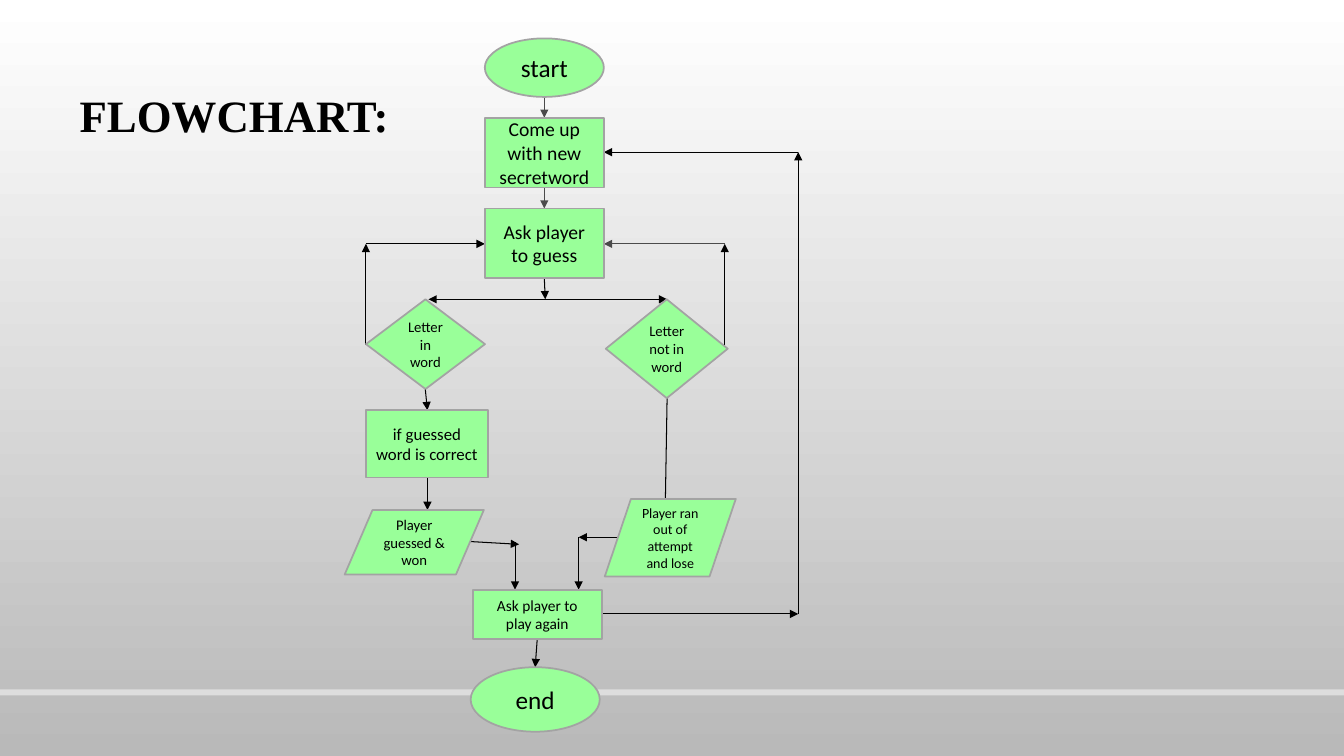
"""Build the word-guessing game flowchart slide."""
import pptx
import pptx.util
import pptx.dml.color
import pptx.enum.shapes
import pptx.enum.text
import pptx.oxml
import pptx.oxml.ns

Pt = pptx.util.Pt
RGBColor = pptx.dml.color.RGBColor
SHAPE = pptx.enum.shapes.MSO_SHAPE
MIDDLE = pptx.enum.text.MSO_ANCHOR.MIDDLE
CENTER = pptx.enum.text.PP_ALIGN.CENTER

WHITE = RGBColor(0xFF, 0xFF, 0xFF)
SILVER = RGBColor(0xB9, 0xB9, 0xB9)
FLOOR = RGBColor(0xDD, 0xDD, 0xDD)
GREEN = RGBColor(0x99, 0xFF, 0x99)
BORDER = RGBColor(0xA3, 0xA3, 0xA3)
BLACK = RGBColor(0, 0, 0)
GRAY = RGBColor(0x4B, 0x4B, 0x4B)


def add_run(paragraph, text, size, font, bold=False):
    run = paragraph.add_run()
    run.text = text
    run.font.size = Pt(size)
    run.font.name = font
    run.font.bold = bold
    run.font.color.rgb = BLACK


def add_arrow(slide, start, end, color, both_ends):
    arrow = slide.shapes.add_connector(
        pptx.enum.shapes.MSO_CONNECTOR.STRAIGHT, *[Pt(v) for v in start + end])
    arrow.line.color.rgb = color
    arrow.line.width = Pt(0.75)
    outline = arrow.line._get_or_add_ln()
    for tag in ["a:headEnd", "a:tailEnd"] if both_ends else ["a:tailEnd"]:
        outline.append(pptx.oxml.parse_xml(
            f'<{tag} {pptx.oxml.ns.nsdecls("a")} type="triangle"/>'))
    arrow._element.spPr.append(pptx.oxml.parse_xml(
        f'<a:effectLst {pptx.oxml.ns.nsdecls("a")}/>'))


deck = pptx.Presentation()
deck.slide_width, deck.slide_height = Pt(960), Pt(540)
slide = deck.slides.add_slide(deck.slide_layouts[5])

backdrop = slide.background.fill
backdrop.gradient()
backdrop.gradient_angle = 270
for stop, color in zip(backdrop.gradient_stops, [WHITE, SILVER]):
    stop.color.rgb = color

floor = slide.shapes.add_shape(SHAPE.RECTANGLE, 0, Pt(492.5), Pt(960), Pt(4.3))
floor.shadow.inherit = False
floor.fill.solid()
floor.fill.fore_color.rgb = FLOOR
floor.line.fill.background()

title = slide.shapes.title
title.left, title.top, title.width, title.height = Pt(49.7), Pt(60.5), Pt(756), Pt(90)
title.text_frame.vertical_anchor = pptx.enum.text.MSO_ANCHOR.TOP
title.text_frame.margin_top = Pt(6.5)
heading = title.text_frame.paragraphs[0]
heading.alignment = pptx.enum.text.PP_ALIGN.LEFT
heading.line_spacing = 0.9
add_run(heading, "FLOWCHART:", 32, "Times New Roman", True)

routes = [
    ([(388.8, 69), (388.8, 84.2)], GRAY, False),
    ([(388.8, 134), (388.8, 149)], GRAY, False),
    ([(388.8, 198.7), (389.5, 213.8)], BLACK, False),
    ([(306, 213.8), (476.6, 213.8)], BLACK, True),
    ([(261.4, 246.2), (261.4, 174.2), (346.3, 174.2)], BLACK, False),
    ([(517.7, 247), (517.7, 174.2)], BLACK, False),
    ([(517.7, 174.2), (431.3, 174.2)], GRAY, False),
    ([(303.8, 278), (305.3, 293)], BLACK, False),
    ([(305.3, 341.3), (305.3, 364.3)], BLACK, False),
    ([(476.6, 279.4), (475.2, 362.2)], BLACK, False),
    ([(331.9, 386.6), (370.8, 388.8)], BLACK, False),
    ([(367.9, 387.4), (367.9, 421.2)], BLACK, False),
    ([(442.8, 383.8), (413.3, 383.8), (413.3, 421.2)], BLACK, False),
    ([(383.8, 455.8), (382.3, 476.6)], BLACK, False),
    ([(429.8, 438.5), (570.2, 438.5), (570.2, 108.7), (431.3, 108.7)], BLACK, False),
]
for points, color, both_ends in routes:
    for start, end in zip(points, points[1:]):
        add_arrow(slide, start, end, color, both_ends)

steps = [
    ("start", SHAPE.OVAL, 346.3, 27.4, 85, 41.8, 18),
    ("Come up with new secretword", SHAPE.RECTANGLE, 346.3, 84.2, 85, 49.7, 14),
    ("Ask player to guess", SHAPE.RECTANGLE, 346.3, 149, 85, 49.7, 14),
    ("Letter in word", SHAPE.FLOWCHART_DECISION, 261.4, 213.8, 85, 64.1, 10.5),
    ("Letter not in word", SHAPE.FLOWCHART_DECISION, 432.7, 213.8, 87.1, 70.6, 10.5),
    ("if guessed word is correct", SHAPE.FLOWCHART_PROCESS, 261.4, 293, 87.1, 48.2, 12),
    ("Player guessed & won", SHAPE.FLOWCHART_DATA, 246.2, 364.3, 99.4, 46.1, 10.5),
    ("Player ran out of attempt and lose", SHAPE.FLOWCHART_DATA, 432, 356.4, 93.6, 55.4, 10),
    ("Ask player to play again", SHAPE.FLOWCHART_PROCESS, 337.7, 421.2, 92.2, 35.3, 11),
    ("end", SHAPE.OVAL, 336.2, 476.6, 92.2, 46.1, 18),
]
for text, kind, left, top, width, height, size in steps:
    step = slide.shapes.add_shape(kind, Pt(left), Pt(top), Pt(width), Pt(height))
    step.shadow.inherit = False
    step.fill.solid()
    step.fill.fore_color.rgb = GREEN
    step.line.color.rgb = BORDER
    step.line.width = Pt(1.25)
    step.text_frame.word_wrap = True
    step.text_frame.vertical_anchor = MIDDLE
    label = step.text_frame.paragraphs[0]
    label.alignment = CENTER
    add_run(label, text, size, "Calibri")

deck.save("out.pptx")
